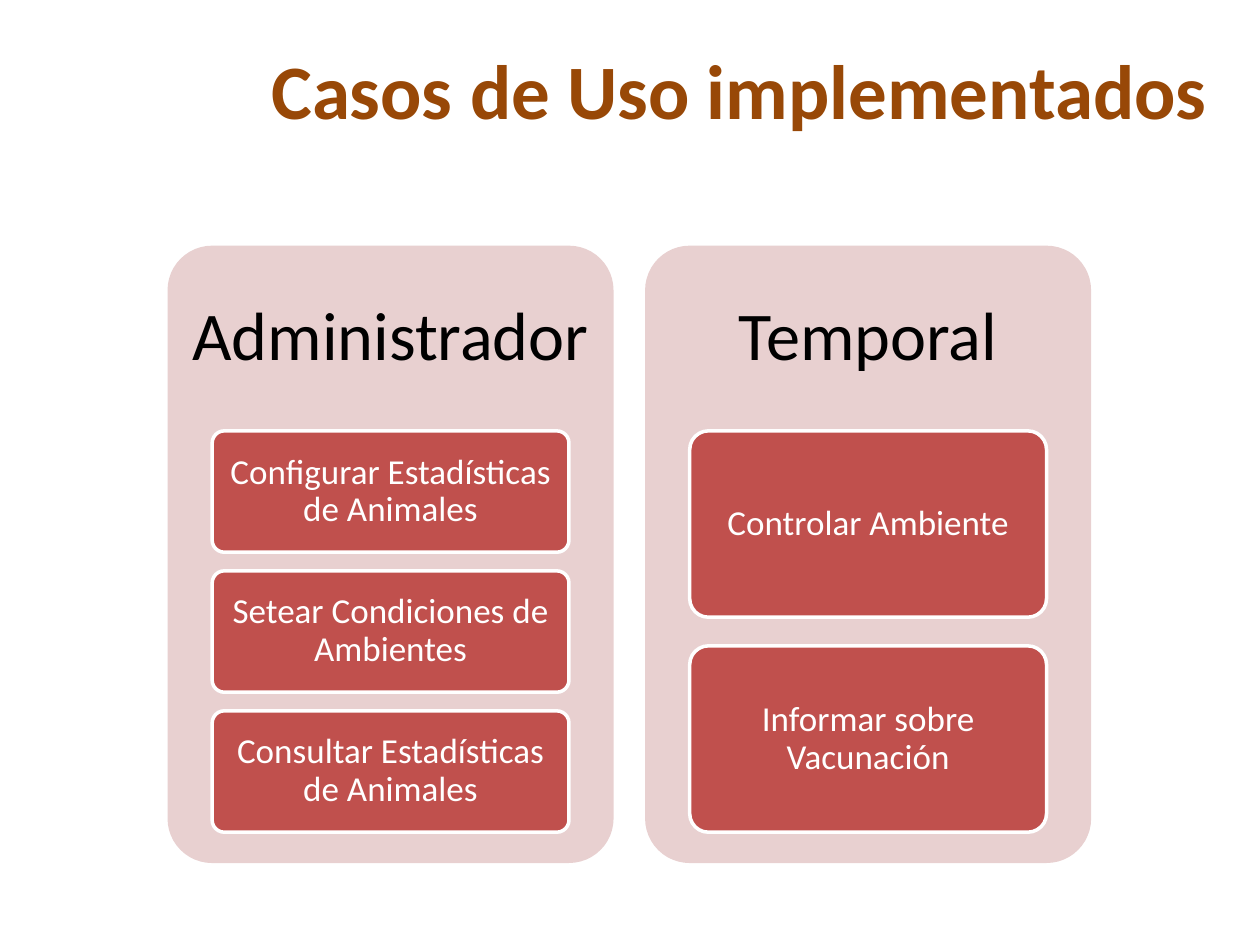
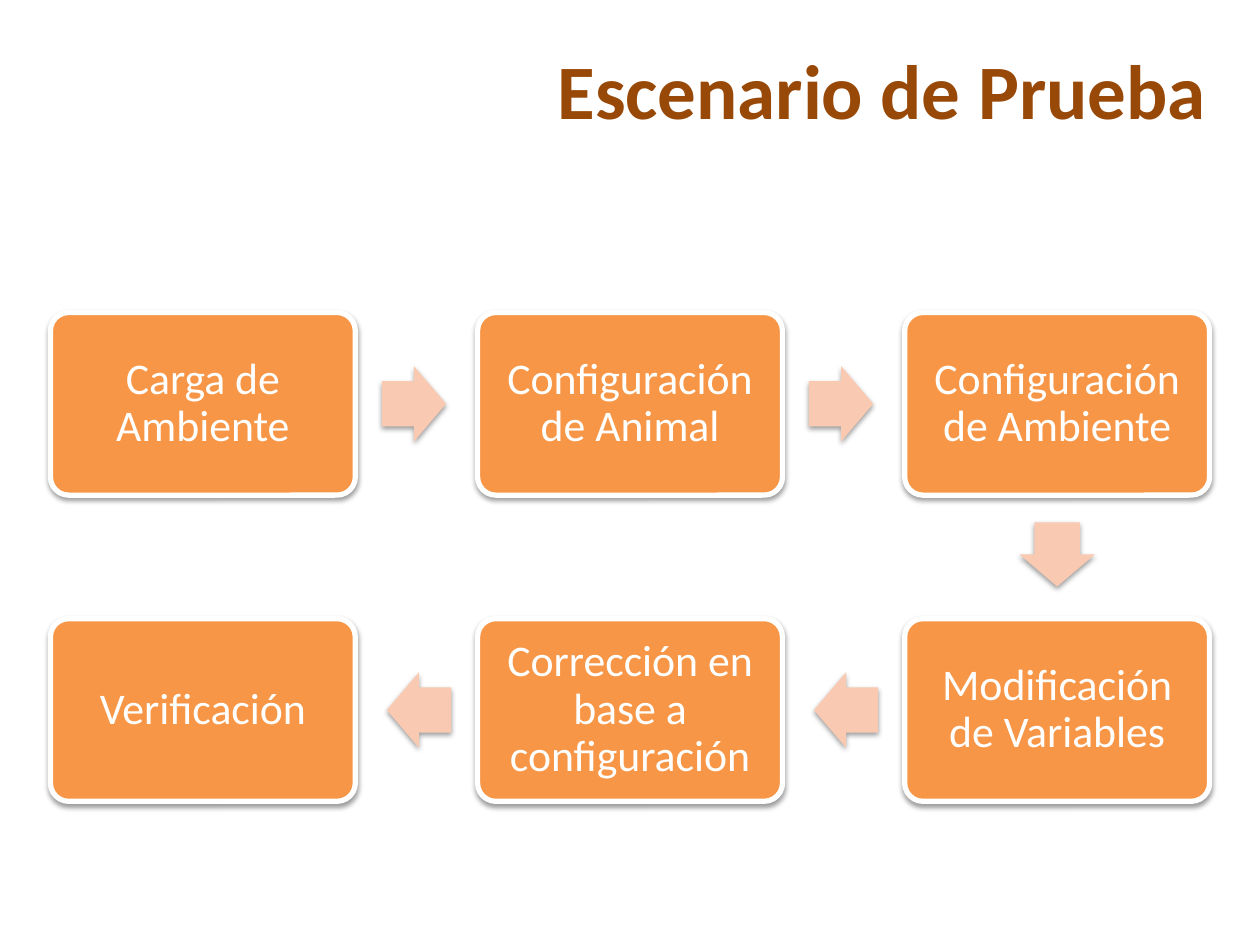
from itertools import pairwise

from lxml.etree import SubElement
from pptx import Presentation
from pptx.dml.color import RGBColor
from pptx.enum.shapes import MSO_SHAPE
from pptx.enum.text import MSO_ANCHOR, PP_ALIGN
from pptx.oxml.ns import qn
from pptx.util import Inches, Pt

FONT = "Calibri"
COLORS = {
    "title": "984807",
    "panel": "E8D0D0",
    "task": "C0504D",
    "step": "F79646",
    "arrow": "FAC9B1",
    "white": "FFFFFF",
    "black": "000000",
}
TITLE_ONLY_LAYOUT = 5
TITLE_TOP, TITLE_HEIGHT = 0.08, 1.25
ACTORS = [
    ("Administrador", [
        "Configurar Estadísticas de Animales",
        "Setear Condiciones de Ambientes",
        "Consultar Estadísticas de Animales",
    ]),
    ("Temporal", ["Controlar Ambiente", "Informar sobre Vacunación"]),
]
STEPS = [
    "Carga de Ambiente",
    "Configuración de Animal",
    "Configuración de Ambiente",
    "Modificación de Variables",
    "Corrección en base a configuración",
    "Verificación",
]


def color(name):
    """Return the named colour of the palette."""
    return RGBColor.from_string(COLORS[name])


def box(left, top, width, height):
    """Convert a box in inches to lengths."""
    return [Inches(value) for value in (left, top, width, height)]


def write(shape, text, size, color_name, margins):
    """Write centred text into a shape."""
    frame = shape.text_frame
    frame.word_wrap = True
    frame.vertical_anchor = MSO_ANCHOR.MIDDLE
    frame.margin_left = frame.margin_right = Inches(margins[0])
    frame.margin_top = frame.margin_bottom = Inches(margins[1])
    paragraph = frame.paragraphs[0]
    paragraph.text = text
    paragraph.alignment = PP_ALIGN.CENTER
    paragraph.line_spacing = 0.9
    paragraph.font.name = FONT
    paragraph.font.size = Pt(size)
    paragraph.font.color.rgb = color(color_name)


def add_filled(slide, kind, bounds, fill, adjustments, line_width=0):
    """Add a filled preset shape, with a white outline if a width is given."""
    shape = slide.shapes.add_shape(kind, *box(*bounds))
    shape.shadow.inherit = False
    shape.fill.solid()
    shape.fill.fore_color.rgb = color(fill)
    for index, value in enumerate(adjustments):
        shape.adjustments[index] = value
    if line_width:
        shape.line.color.rgb = color("white")
        shape.line.width = Pt(line_width)
    else:
        shape.line.fill.background()
    return shape


def add_shadow(shape):
    """Give a shape a soft shadow below it."""
    effects = shape._element.spPr.find(qn("a:effectLst"))
    shadow = SubElement(effects, qn("a:outerShdw"), blurRad=str(Pt(3.1)),
                        dist=str(Pt(1.6)), dir="5400000", rotWithShape="0")
    shade = SubElement(shadow, qn("a:srgbClr"), val=COLORS["black"])
    SubElement(shade, qn("a:alpha"), val="38000")


def add_titled_slide(presentation, text, left, width):
    """Add a slide with a right-aligned title."""
    layout = presentation.slide_layouts[TITLE_ONLY_LAYOUT]
    slide = presentation.slides.add_slide(layout)
    title = slide.shapes.title
    title.left, title.top, title.width, title.height = box(
        left, TITLE_TOP, width, TITLE_HEIGHT)
    title.text_frame.vertical_anchor = MSO_ANCHOR.MIDDLE
    paragraph = title.text_frame.paragraphs[0]
    paragraph.text = text
    paragraph.alignment = PP_ALIGN.RIGHT
    paragraph.font.name = FONT
    paragraph.font.size = Pt(44)
    paragraph.font.bold = True
    paragraph.font.color.rgb = color("title")
    return slide


def add_actor_panel(slide, bounds, actor, tasks):
    """Add a panel headed by an actor, with its tasks stacked to fill it."""
    left, top, width, height = bounds
    heading_height, stack_height, gap_ratio = 0.3 * height, 0.65 * height, 2 / 13
    add_filled(slide, MSO_SHAPE.ROUNDED_RECTANGLE, bounds, "panel", [0.1])
    heading = slide.shapes.add_textbox(*box(left, top, width, heading_height))
    write(heading, actor, 39, "black", (0.16, 0.16))
    task_height = stack_height / (len(tasks) + (len(tasks) - 1) * gap_ratio)
    for index, text in enumerate(tasks):
        task_top = top + heading_height + index * task_height * (1 + gap_ratio)
        task = add_filled(
            slide, MSO_SHAPE.ROUNDED_RECTANGLE,
            (left + 0.1 * width, task_top, 0.8 * width, task_height),
            "task", [0.1], 2)
        write(task, text, 20, "white", (0.06, 0.04))


def add_step_arrow(slide, start, end):
    """Add an arrow between the centres of two neighbouring steps."""
    width, height, setback = 0.51, 0.6, 0.02
    across = (end[0] > start[0]) - (end[0] < start[0])
    down = end[1] > start[1]
    center_x = (start[0] + end[0]) / 2 - across * setback
    center_y = (start[1] + end[1]) / 2 - down * setback
    arrow = add_filled(
        slide, MSO_SHAPE.RIGHT_ARROW,
        (center_x - width / 2, center_y - height / 2, width, height),
        "arrow", [0.6, 0.5])
    arrow.rotation = 90 if down else 90 * (1 - across)
    add_shadow(arrow)


def add_step_flow(slide, bounds, steps, columns=3):
    """Add steps that run to the right, then back to the left one row below."""
    left, top, width, height = bounds
    step_width, step_height = 2.42, 1.45
    column_pitch = (width - step_width) / (columns - 1)
    row_pitch = height - step_height
    centers = []
    for index, text in enumerate(steps):
        row, column = divmod(index, columns)
        if row % 2:
            column = columns - 1 - column
        step_left, step_top = left + column * column_pitch, top + row * row_pitch
        step = add_filled(
            slide, MSO_SHAPE.ROUNDED_RECTANGLE,
            (step_left, step_top, step_width, step_height), "step", [0.1], 3)
        add_shadow(step)
        write(step, text, 25, "white", (0.1, 0.1))
        centers.append((step_left + step_width / 2, step_top + step_height / 2))
    for start, end in pairwise(centers):
        add_step_arrow(slide, start, end)


def build_use_cases(presentation):
    """Build the slide of use cases for each actor."""
    slide = add_titled_slide(presentation, "Casos de Uso implementados", 0, 9.69)
    for index, (actor, tasks) in enumerate(ACTORS):
        add_actor_panel(slide, (1.33 + index * 3.79, 1.95, 3.54, 4.9), actor, tasks)


def build_test_scenario(presentation):
    """Build the slide of the test scenario."""
    slide = add_titled_slide(presentation, "Escenario de Prueba", 1.87, 7.81)
    add_step_flow(slide, (0.4, 2.48, 9.2, 3.88), STEPS)


def main():
    """Build and save the presentation."""
    presentation = Presentation()
    presentation.slide_width = Inches(10)
    presentation.slide_height = Inches(7.5)
    build_use_cases(presentation)
    build_test_scenario(presentation)
    presentation.save("out.pptx")


if __name__ == "__main__":
    main()
